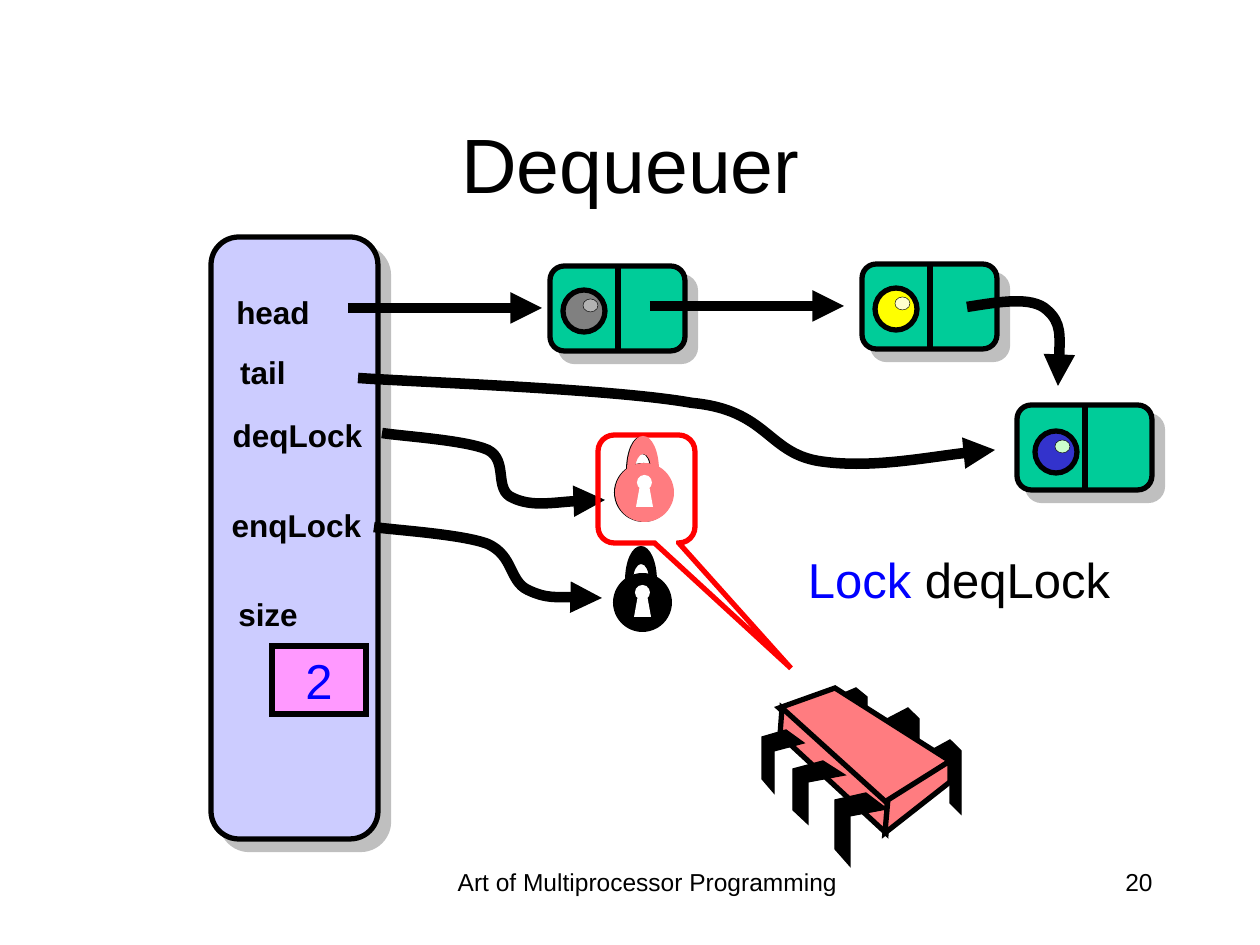
from lxml import etree
from pptx import Presentation
from pptx.dml.color import RGBColor
from pptx.enum.shapes import MSO_CONNECTOR, MSO_SHAPE
from pptx.enum.text import MSO_ANCHOR, PP_ALIGN
from pptx.oxml.ns import qn
from pptx.util import Pt

RECT, ROUND, OVAL = MSO_SHAPE.RECTANGLE, MSO_SHAPE.ROUNDED_RECTANGLE, MSO_SHAPE.OVAL
CALLOUT, STRAIGHT = MSO_SHAPE.ROUNDED_RECTANGULAR_CALLOUT, MSO_CONNECTOR.STRAIGHT
CENTER, RIGHT = PP_ALIGN.CENTER, PP_ALIGN.RIGHT
TOP, MIDDLE = MSO_ANCHOR.TOP, MSO_ANCHOR.MIDDLE
SCALE = 914400 / 126  # EMU per px


class Theme:
    font = "Arial"
    black, white, blue, red = "000000", "FFFFFF", "0000FF", "FF0000"
    panel, value, node, thread = "CCCCFF", "FF99FF", "00CC99", "FF7C80"
    shadow = "808080"
    title, body, label, footer = 44, 28, 18, 14
    hair, thin, outline, arrow = 0.25, 0.75, 3, 6
    corner = 0.167


# Content: text as (box, [(text, colour)], size, bold, alignment, anchor, wrap)
TEXTS = [
    ((430, 861, 435, 63), [("Art of Multiprocessor Programming", Theme.black)],
     Theme.footer, False, CENTER, TOP, True),
    ((903, 861, 262, 63), [("20", Theme.black)], Theme.footer, False, RIGHT, TOP, True),
    ((95, 84, 1071, 158), [("Dequeuer", Theme.black)], Theme.title, False, CENTER, MIDDLE, True),
    ((726, 543, 466, 72), [("Lock ", Theme.blue), ("deqLock", Theme.black)],
     Theme.body, False, CENTER, TOP, True),
]
FIELDS = [
    ("head", (218, 287, 110, 50)),
    ("tail", (222, 347, 82, 50)),
    ("deqLock", (215, 410, 165, 50)),
    ("enqLock", (214, 500, 165, 50)),
    ("size", (220, 589, 96, 50)),
]
PANEL, SIZE_BOX, BUBBLE = (211, 237, 167, 602), (272, 646, 94, 68), (598, 435, 97, 108)

# Nodes: (left, top), ball offset, ball colour, glint colour
NODES = [
    ((550, 266), (13, 24), "808080", "B2B2B2"),
    ((862, 264), (13, 24), "FFFF00", "FFFFCC"),
    ((1017, 405), (18, 26), "3333CC", "CCFFCC"),
]

# Curves: a start point, then three points for each Bezier piece
LOCK_ARROWS = [
    [(382, 433), (399, 436), (466, 440), (488, 450), (509, 461), (493, 490), (513, 498),
     (532, 507), (586, 499), (605, 500)],
    [(374, 527), (393, 530), (462, 534), (488, 544), (514, 556), (509, 581), (528, 590),
     (547, 599), (586, 597), (602, 598)],
]
LINK_CURVES = [
    [(967, 307), (999, 302), (1032, 296), (1047, 310), (1062, 323), (1060, 354), (1058, 386)],
    [(358, 378), (413, 382), (615, 389), (692, 403), (767, 410), (767, 452), (818, 461),
     (868, 469), (959, 452), (995, 450)],
]
LINK_LINES = [(348, 308, 542, 308), (650, 306, 844, 306)]

# Lock parts, relative to the lock's corner
KEY_SLOT = [(21, 71), (25, 49), (34, 49), (38, 71)]
SHACKLE = [(20, 35), (20, 25), (24, 18), (28, 18), (33, 18), (36, 25), (36, 35),
           (36, 35), (44, 35), (44, 35), (44, 15), (37, 0), (28, 0),
           (19, 0), (12, 15), (12, 35), (12, 35), (20, 35), (20, 35)]

# Thread chip, from back to front
BACK_LEGS = [
    [(930, 751), (950, 740), (961, 751), (961, 814), (950, 803), (950, 761), (930, 771)],
    [(887, 719), (908, 708), (919, 719), (919, 782), (908, 771), (908, 730), (887, 740)],
    [(835, 697), (856, 688), (867, 697), (867, 751), (856, 741), (856, 706), (835, 714)],
]
CHIP_FACES = [
    [(835, 688), (950, 761), (886, 805), (779, 708)],
    [(782, 708), (887, 803), (886, 833), (780, 735)],
    [(950, 761), (950, 782), (885, 833), (888, 800)],
]
FRONT_LEGS = [
    [(866, 793), (887, 809), (850, 816), (850, 866), (835, 849), (835, 800)],
    [(823, 761), (845, 775), (808, 782), (808, 824), (793, 810), (793, 769)],
    [(786, 730), (804, 743), (774, 751), (774, 793), (762, 779), (762, 737)],
]


def emu(*lengths):
    return [round(length * SCALE) for length in lengths]


def color(code):
    return RGBColor.from_string(code)


def paint(shape, fill=None, line=None, width=Theme.outline):
    shape.shadow.inherit = False
    if fill:
        shape.fill.solid()
        shape.fill.fore_color.rgb = color(fill)
    else:
        shape.fill.background()
    if line:
        shape.line.color.rgb = color(line)
        shape.line.width = Pt(width)
        etree.SubElement(shape.line._get_or_add_ln(), qn("a:miter"), lim="800000")
    else:
        shape.line.fill.background()
    return shape


def add_preset(kind, box, *style):
    return paint(page.shapes.add_shape(kind, *emu(*box)), *style)


def add_outline(points, *style, curved=False, closed=True):
    builder = page.shapes.build_freeform(*points[0], scale=SCALE)
    builder.add_line_segments(points[1:], close=closed)
    shape = paint(builder.convert_to_shape(), *style)
    if curved:  # join each three line ends into one Bezier piece
        steps = list(shape._element.iter(qn("a:lnTo")))
        for first, second, third in zip(steps[::3], steps[1::3], steps[2::3]):
            first.tag = qn("a:cubicBezTo")
            for step in (second, third):
                first.append(step[0])
                step.getparent().remove(step)
    return shape


def add_line(ends, width):
    line = page.shapes.add_connector(STRAIGHT, *emu(*ends))
    line.line.color.rgb = color(Theme.black)
    line.line.width = Pt(width)
    etree.SubElement(line._element.spPr, qn("a:effectLst"))
    return line


def add_arrowhead(shape):
    etree.SubElement(shape.line._get_or_add_ln(), qn("a:tailEnd"), type="triangle")


def add_curved_arrow(points):
    add_arrowhead(add_outline(points, None, Theme.black, Theme.arrow, curved=True, closed=False))


def drop_shadow(shape):
    effects = shape._element.spPr.find(qn("a:effectLst"))
    outer = etree.SubElement(effects, qn("a:outerShdw"), dist=str(Pt(8.5)), dir="2700000")
    tint = etree.SubElement(outer, qn("a:srgbClr"), val=Theme.shadow)
    etree.SubElement(tint, qn("a:alpha"), val="50000")


def write(shape, spans, size, bold=False, align=CENTER, anchor=TOP, wrap=False):
    frame = shape.text_frame
    frame.word_wrap, frame.vertical_anchor = wrap, anchor
    para = frame.paragraphs[0]
    para.alignment = align
    para.font.name, para.font.size, para.font.bold = Theme.font, Pt(size), bold
    for text, code in spans:
        span = para.add_run()
        span.text = text
        span.font.color.rgb = color(code)


def add_lock(left, top, fill):
    def place(points):
        return [(left + x, top + y) for x, y in points]
    add_preset(OVAL, (left, top + 27, 59, 59), fill)
    add_preset(OVAL, (left + 22, top + 39, 15, 15), Theme.white)
    add_outline(place(KEY_SLOT), Theme.white)
    add_outline(place(SHACKLE), fill, curved=True)


def add_rounded(box, fill):
    shape = add_preset(ROUND, box, fill, Theme.black)
    shape.adjustments[0] = Theme.corner
    drop_shadow(shape)


def add_node(corner, offset, ball, glint):
    left, top = corner
    add_rounded((left, top, 135, 85), Theme.node)
    add_line((left + 68, top, left + 68, top + 85), Theme.outline)
    x, y = left + offset[0], top + offset[1]
    add_preset(OVAL, (x, y, 42, 42), ball, Theme.black)
    add_preset(OVAL, (x + 20, y + 9, 15, 13), glint, Theme.black, Theme.hair)


deck = Presentation()
deck.slide_width, deck.slide_height = emu(1260, 945)
page = deck.slides.add_slide(deck.slide_layouts[6])

# Queue object and all plain text
add_rounded(PANEL, Theme.panel)
for box, *style in TEXTS:
    write(page.shapes.add_textbox(*emu(*box)), *style)
for name, box in FIELDS:
    write(page.shapes.add_textbox(*emu(*box)), [(name, Theme.black)], Theme.label, True)
write(add_preset(RECT, SIZE_BOX, Theme.value, Theme.black),
      [("2", Theme.blue)], Theme.body, anchor=MIDDLE)

# Locks, their arrows and the thread's bubble
add_lock(614, 436, Theme.black)
for points in LOCK_ARROWS:
    add_curved_arrow(points)
bubble = add_preset(CALLOUT, BUBBLE, None, Theme.red)
for index, value in enumerate((1.49, 1.66, Theme.corner)):
    bubble.adjustments[index] = value
add_lock(613, 546, Theme.black)
add_lock(615, 436, Theme.thread)

# Thread chip
for outlines, *style in ((BACK_LEGS, Theme.black, Theme.black, Theme.thin),
                         (CHIP_FACES, Theme.thread, Theme.black, Theme.outline),
                         (FRONT_LEGS, Theme.black, Theme.black, Theme.thin)):
    for points in outlines:
        add_outline(points, *style)

# Linked nodes
for node in NODES:
    add_node(*node)
for ends in LINK_LINES:
    add_arrowhead(add_line(ends, Theme.arrow))
for points in LINK_CURVES:
    add_curved_arrow(points)

deck.save("out.pptx")
